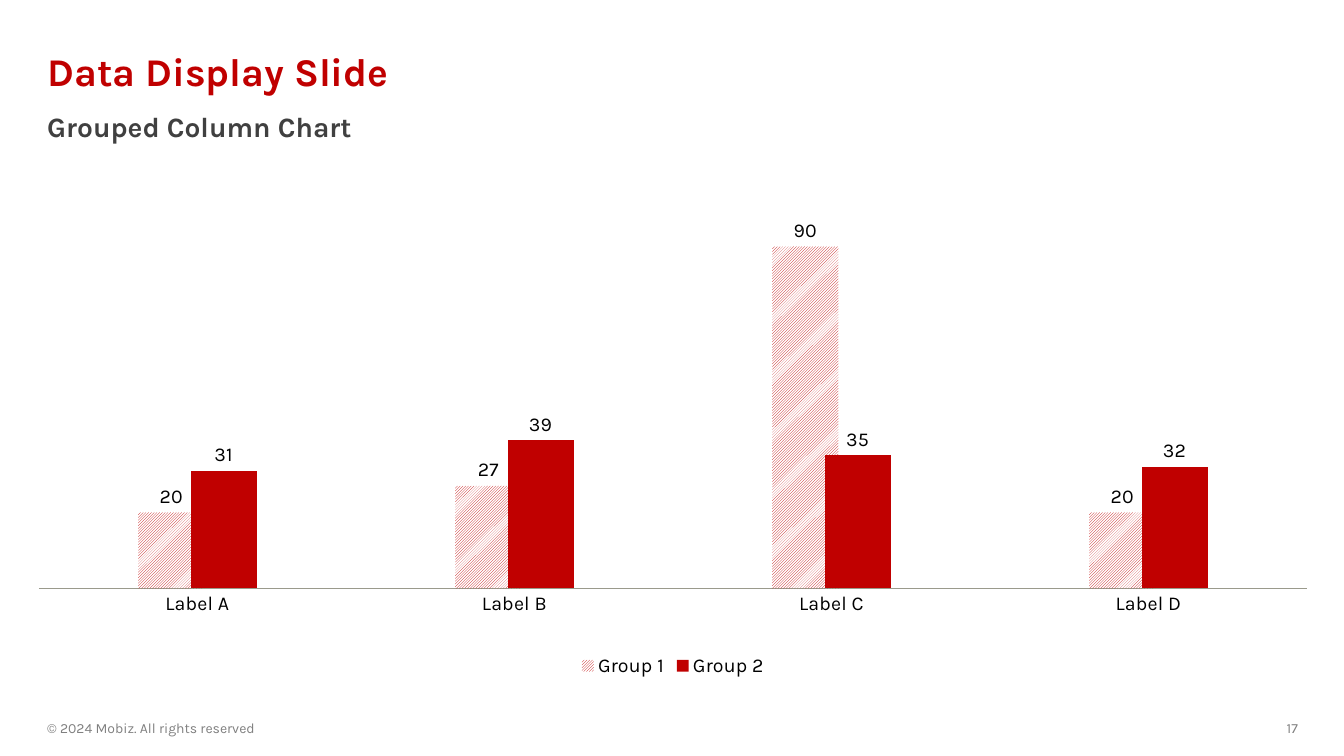
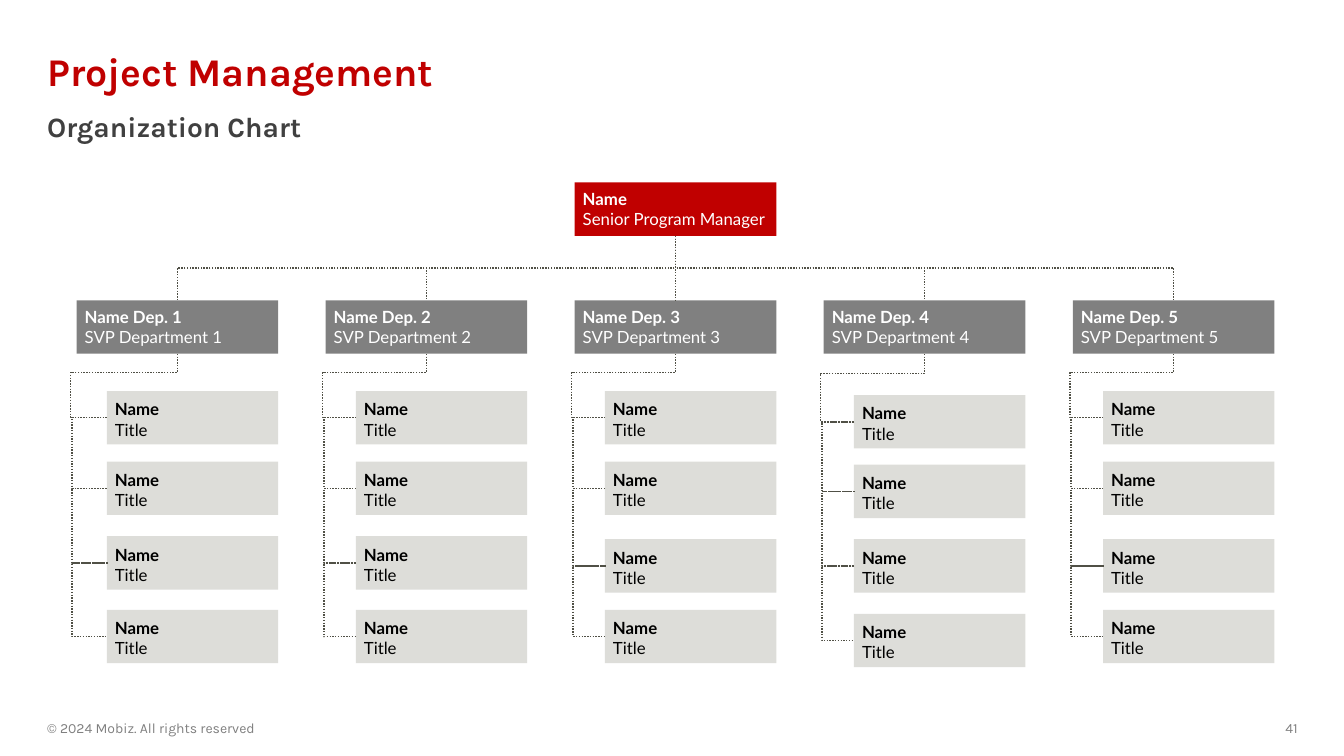
from dataclasses import dataclass

from lxml.etree import SubElement
from pptx import Presentation
from pptx.chart.data import CategoryChartData
from pptx.dml.color import RGBColor
from pptx.enum.chart import XL_CHART_TYPE, XL_LABEL_POSITION, XL_LEGEND_POSITION
from pptx.enum.chart import XL_TICK_LABEL_POSITION, XL_TICK_MARK
from pptx.enum.dml import MSO_LINE, MSO_PATTERN
from pptx.enum.shapes import MSO_CONNECTOR, MSO_SHAPE
from pptx.enum.text import MSO_ANCHOR, PP_ALIGN
from pptx.oxml.ns import qn
from pptx.util import Inches, Pt


@dataclass(frozen=True)
class Theme:
    red: str = "C00000"
    ink: str = "404040"
    gray: str = "808080"
    pale: str = "DDDDD9"
    white: str = "FFFFFF"
    black: str = "000000"
    axis: str = "9A9A8C"
    link: str = "505046"
    heading_font: str = "Karla"
    box_font: str = "Lato"
    title_size: int = 28
    subtitle_size: int = 20
    chart_size: int = 14
    box_size: int = 12
    footer_size: int = 10


@dataclass(frozen=True)
class Grid:
    width: float = 13.33
    height: float = 7.5
    margin: float = 0.37
    content: float = 12.6
    first_column: float = 0.76
    column_pitch: float = 2.47
    box_width: float = 2
    box_height: float = 0.53
    indent: float = 0.3
    root_top: float = 1.81
    department_top: float = 2.98

    def column(self, index):
        return self.first_column + index * self.column_pitch


@dataclass(frozen=True)
class Department:
    tops: tuple
    rail: float = 0.32
    lead: float = 0.33


THEME = Theme()
GRID = Grid()
TOP, LEFT, BOTTOM = 0, 1, 2
QUARTER_TURN = 5400000
DEPARTMENTS = (
    Department((3.88, 4.58, 5.32, 6.05), 0.35, 0.36),
    Department((3.88, 4.58, 5.32, 6.05)),
    Department((3.88, 4.58, 5.35, 6.05)),
    Department((3.92, 4.61, 5.35, 6.09)),
    Department((3.88, 4.58, 5.35, 6.05)),
)


def color(code):
    return RGBColor.from_string(code)


def style(font, family, size, code, bold=False):
    font.name = family
    font.size = Pt(size)
    font.bold = bold
    font.color.rgb = color(code)


def add_span(para, text, *look):
    span = para.add_run()
    span.text = text
    style(span.font, *look)


def place(shape, left, top, width, height):
    shape.left, shape.top = Inches(left), Inches(top)
    shape.width, shape.height = Inches(width), Inches(height)


def add_label(page, text, area, look, anchor=MSO_ANCHOR.MIDDLE, align=PP_ALIGN.LEFT):
    box = page.shapes.add_textbox(*map(Inches, area))
    frame = box.text_frame
    frame.word_wrap = True
    frame.vertical_anchor = anchor
    para = frame.paragraphs[0]
    para.alignment = align
    add_span(para, text, *look)
    return para


def add_page(deck, title, subtitle, number):
    page = deck.slides.add_slide(deck.slide_layouts[5])
    heading = page.shapes.title
    place(heading, GRID.margin, 0.4, GRID.content, 0.67)
    heading.text_frame.vertical_anchor = MSO_ANCHOR.MIDDLE
    para = heading.text_frame.paragraphs[0]
    para.alignment = PP_ALIGN.LEFT
    para.line_spacing = 0.9
    add_span(para, title, THEME.heading_font, THEME.title_size, THEME.red, True)

    para = add_label(page, subtitle, (GRID.margin, 1.08, GRID.content, 0.47),
                     (THEME.heading_font, THEME.subtitle_size, THEME.ink, True),
                     MSO_ANCHOR.TOP)
    para.line_spacing = 0.9

    look = (THEME.heading_font, THEME.footer_size, THEME.gray)
    add_label(page, "© 2024 Mobiz. All rights reserved",
              (GRID.margin, 7.1, 4.5, 0.25), look)
    number_width = 1.22
    add_label(page, number,
              (GRID.margin + GRID.content - number_width, 7.1, number_width, 0.25),
              look, align=PP_ALIGN.RIGHT)
    return page


def set_plot_layout(chart, **shares):
    plot_area = chart.element.find(".//" + qn("c:plotArea"))
    layout = plot_area.find(qn("c:layout"))
    if layout is None:
        layout = plot_area.makeelement(qn("c:layout"))
        plot_area.insert(0, layout)
    manual = SubElement(layout, qn("c:manualLayout"))
    settings = {"layoutTarget": "inner", "xMode": "edge", "yMode": "edge", **shares}
    for tag, value in settings.items():
        SubElement(manual, qn("c:" + tag)).set("val", str(value))


def add_column_chart(page, categories, groups):
    data = CategoryChartData()
    data.categories = categories
    for name, values in groups.items():
        data.add_series(name, values)
    area = map(Inches, (0.38, 2.06, 12.59, 4.7))
    chart = page.shapes.add_chart(XL_CHART_TYPE.COLUMN_CLUSTERED, *area, data).chart
    style(chart.font, THEME.heading_font, THEME.chart_size, THEME.black)
    chart.has_title = False
    chart.has_legend = True
    chart.legend.position = XL_LEGEND_POSITION.BOTTOM
    chart.legend.include_in_layout = False

    category_axis, value_axis = chart.category_axis, chart.value_axis
    category_axis.major_tick_mark = XL_TICK_MARK.NONE
    category_axis.tick_label_position = XL_TICK_LABEL_POSITION.NEXT_TO_AXIS
    chart.element.find(".//" + qn("c:lblOffset")).set("val", "0")
    category_axis.format.line.color.rgb = color(THEME.axis)
    category_axis.format.line.width = Pt(1)
    value_axis.minimum_scale, value_axis.maximum_scale = 0, 100
    value_axis.has_major_gridlines = False
    value_axis.visible = False

    plot = chart.plots[0]
    plot.gap_width, plot.overlap = 300, 21
    plot.vary_by_categories = False
    plot.has_data_labels = True
    plot.data_labels.show_value = True
    plot.data_labels.position = XL_LABEL_POSITION.OUTSIDE_END

    hatched, solid = (series.format.fill for series in plot.series)
    hatched.patterned()
    hatched.pattern = MSO_PATTERN.DARK_UPWARD_DIAGONAL
    hatched.fore_color.rgb = color(THEME.red)
    hatched.back_color.rgb = color(THEME.white)
    solid.solid()
    solid.fore_color.rgb = color(THEME.red)
    set_plot_layout(chart, x=0, y=0.002, w=1, h=0.802)


def add_box(page, left, top, width, fill, anchor):
    box = page.shapes.add_shape(
        MSO_SHAPE.RECTANGLE, *map(Inches, (left, top, width, GRID.box_height)))
    box.shadow.inherit = False
    box.fill.solid()
    box.fill.fore_color.rgb = color(fill)
    box.line.fill.background()
    frame = box.text_frame
    frame.word_wrap = False
    frame.vertical_anchor = anchor
    frame.margin_left = frame.margin_right = Inches(0.08)
    frame.margin_top = frame.margin_bottom = Inches(0.08)
    frame.paragraphs[0].alignment = PP_ALIGN.LEFT
    return box


def add_head(page, left, top, fill, name, role):
    box = add_box(page, left, top, GRID.box_width, fill, MSO_ANCHOR.MIDDLE)
    frame = box.text_frame
    look = (THEME.box_font, THEME.box_size, THEME.white)
    add_span(frame.paragraphs[0], name, *look, True)
    para = frame.add_paragraph()
    para.alignment = PP_ALIGN.LEFT
    add_span(para, role, *look)
    return box


def add_member(page, left, top):
    box = add_box(page, left, top, GRID.box_width - GRID.indent, THEME.pale, MSO_ANCHOR.TOP)
    para = box.text_frame.paragraphs[0]
    look = (THEME.box_font, THEME.box_size, THEME.black)
    add_span(para, "Name", *look, True)
    para.add_line_break()
    add_span(para, "Title", *look)
    return box


def add_link(page, kind, start, start_side, end, end_side):
    link = page.shapes.add_connector(kind, 0, 0, 0, 0)
    link.begin_connect(start, start_side)
    link.end_connect(end, end_side)
    link.line.color.rgb = color(THEME.link)
    link.line.width = Pt(1)
    link.line.dash_style = MSO_LINE.ROUND_DOT
    SubElement(link.element.spPr, qn("a:effectLst"))
    return link


def set_bends(link, preset, *shares):
    geometry = link.element.spPr.find(qn("a:prstGeom"))
    geometry.set("prst", preset)
    guides = geometry.find(qn("a:avLst"))
    for index, share in enumerate(shares, 1):
        guide = SubElement(guides, qn("a:gd"))
        guide.set("name", f"adj{index}")
        guide.set("fmla", f"val {round(share * 100000)}")


def turn(link, quarters, flip_across, flip_down):
    frame = link.element.spPr.find(qn("a:xfrm"))
    frame.set("rot", str(QUARTER_TURN * quarters))
    frame.set("flipH", str(int(flip_across)))
    frame.set("flipV", str(int(flip_down)))


def turn_down(link):
    across = link.end_x - link.begin_x
    down = link.end_y - link.begin_y
    middle_x = (link.begin_x + link.end_x) // 2
    middle_y = (link.begin_y + link.end_y) // 2
    link.left, link.top = middle_x - down // 2, middle_y - abs(across) // 2
    link.width, link.height = down, abs(across)
    turn(link, 3 if across > 0 else 1, across > 0, False)
    return abs(across)


def link_root(page, root, head):
    if root.left == head.left:
        add_link(page, MSO_CONNECTOR.STRAIGHT, root, BOTTOM, head, TOP)
        return
    link = add_link(page, MSO_CONNECTOR.ELBOW, root, BOTTOM, head, TOP)
    turn_down(link)
    set_bends(link, "bentConnector3", 0.5)


def link_first_member(page, head, member, lead):
    link = add_link(page, MSO_CONNECTOR.ELBOW, head, BOTTOM, member, LEFT)
    across = turn_down(link)
    set_bends(link, "bentConnector4", 0.29, 1 + Inches(lead) / across)


def link_members(page, upper, lower, rail):
    link = add_link(page, MSO_CONNECTOR.ELBOW, upper, LEFT, lower, LEFT)
    sliver = Pt(0.2)
    link.width = sliver
    turn(link, 2, True, True)
    set_bends(link, "bentConnector3", -Inches(rail) / sliver)


def add_organization(page):
    root = add_head(page, GRID.column(2), GRID.root_top, THEME.red,
                    "Name", "Senior Program Manager")
    for index, department in enumerate(DEPARTMENTS):
        left = GRID.column(index)
        head = add_head(page, left, GRID.department_top, THEME.gray,
                        f"Name Dep. {index + 1}", f"SVP Department {index + 1}")
        link_root(page, root, head)
        members = [add_member(page, left + GRID.indent, top) for top in department.tops]
        link_first_member(page, head, members[0], department.lead)
        for upper, lower in zip(members, members[1:]):
            link_members(page, upper, lower, department.rail)


def main():
    deck = Presentation()
    deck.slide_width, deck.slide_height = Inches(GRID.width), Inches(GRID.height)
    page = add_page(deck, "Data Display Slide", "Grouped Column Chart", "17")
    add_column_chart(page, [f"Label {letter}" for letter in "ABCD"],
                     {"Group 1": (20, 27, 90, 20), "Group 2": (31, 39, 35, 32)})
    page = add_page(deck, "Project Management", "Organization Chart", "41")
    add_organization(page)
    deck.save("out.pptx")


if __name__ == "__main__":
    main()
